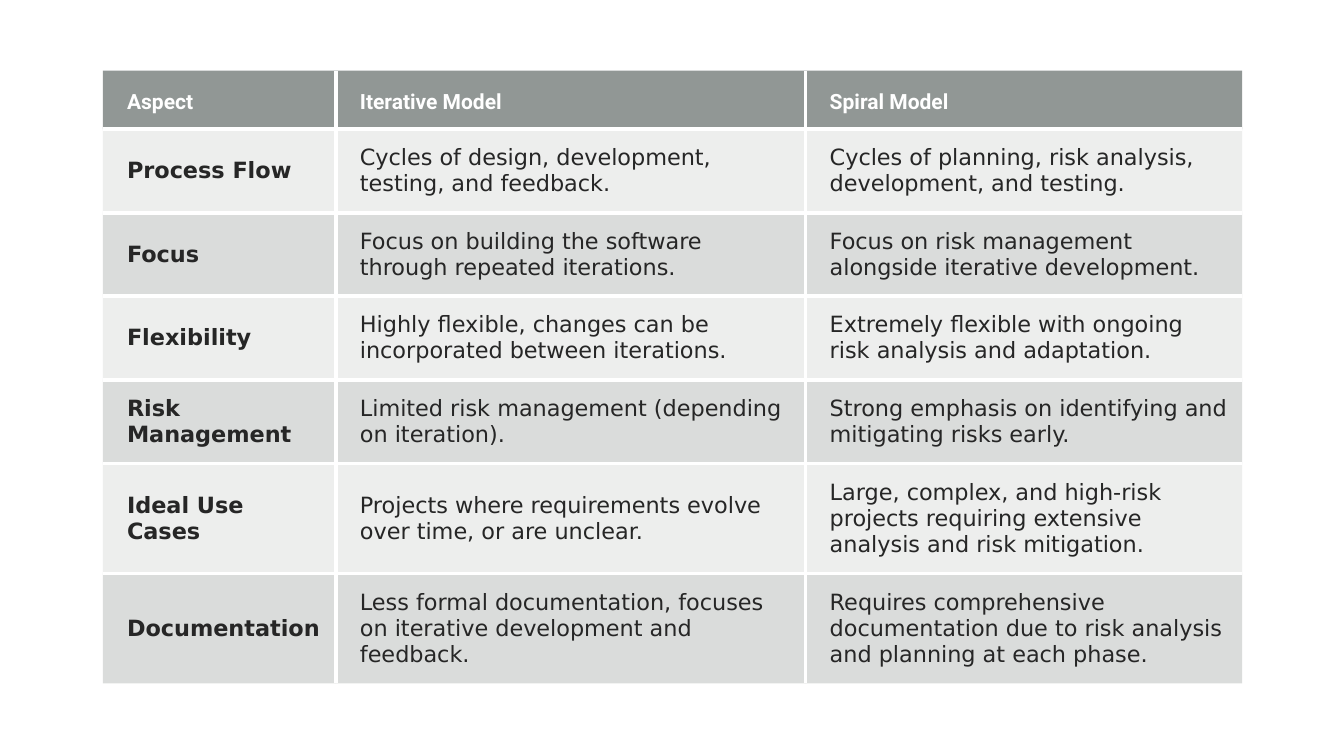
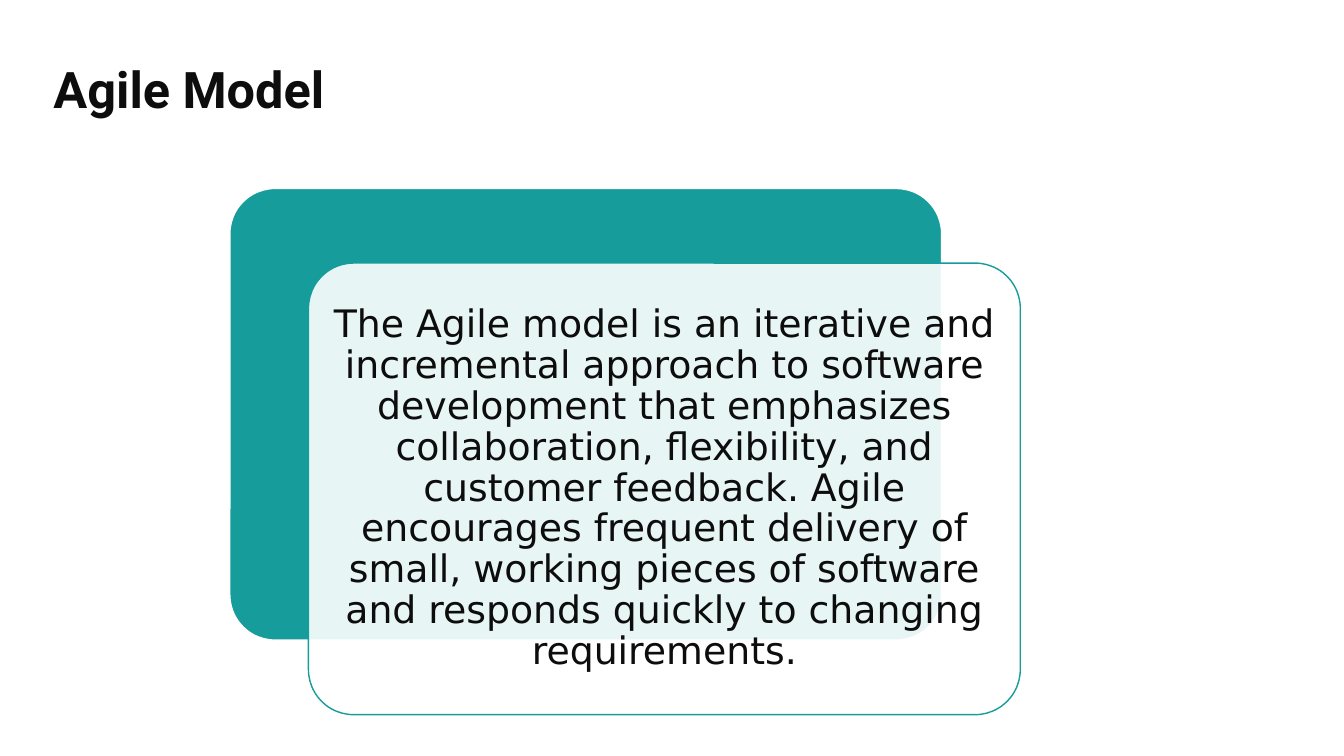
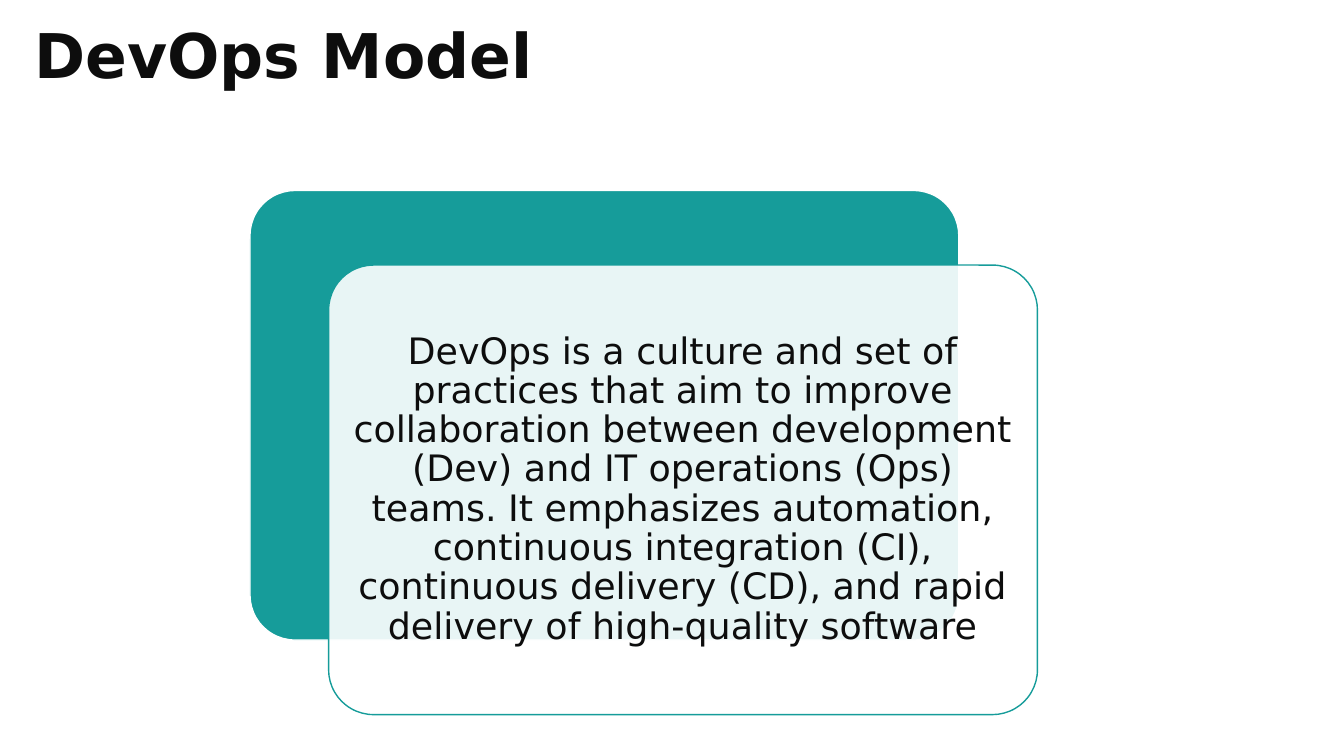
"""Build three slides comparing software development models."""
from lxml import etree
from pptx import Presentation
from pptx.dml.color import RGBColor
from pptx.enum.shapes import MSO_SHAPE
from pptx.enum.text import MSO_ANCHOR, MSO_AUTO_SIZE, PP_ALIGN
from pptx.oxml.ns import qn
from pptx.util import Inches, Pt

ROUNDED = MSO_SHAPE.ROUNDED_RECTANGLE
MIDDLE, BOTTOM = MSO_ANCHOR.MIDDLE, MSO_ANCHOR.BOTTOM
LEFT, CENTER = PP_ALIGN.LEFT, PP_ALIGN.CENTER
NO_AUTOFIT = MSO_AUTO_SIZE.NONE

WHITE = RGBColor(0xFF, 0xFF, 0xFF)
TEAL = RGBColor(0x16, 0x9C, 0x9A)
INK = RGBColor(0x0D, 0x0D, 0x0D)
CELL_INK = RGBColor(0x26, 0x26, 0x26)
HEADER_GREY = RGBColor(0x63, 0x6B, 0x68)
BODY_GREY = RGBColor(0x87, 0x8E, 0x8B)
HEADING_FONT, BODY_FONT = "Roboto", "DejaVu Sans"

COMPARISON = [
    ("Aspect", "Iterative Model", "Spiral Model"),
    ("Process Flow",
     "Cycles of design, development, testing, and feedback.",
     "Cycles of planning, risk analysis, development, and testing."),
    ("Focus",
     "Focus on building the software through repeated iterations.",
     "Focus on risk management alongside iterative development."),
    ("Flexibility",
     "Highly flexible, changes can be incorporated between iterations.",
     "Extremely flexible with ongoing risk analysis and adaptation."),
    ("Risk Management",
     "Limited risk management (depending on iteration).",
     "Strong emphasis on identifying and mitigating risks early."),
    ("Ideal Use Cases",
     "Projects where requirements evolve over time, or are unclear.",
     "Large, complex, and high-risk projects requiring extensive analysis and risk mitigation."),
    ("Documentation",
     "Less formal documentation, focuses on iterative development and feedback.",
     "Requires comprehensive documentation due to risk analysis and planning at each phase."),
]
COLUMN_WIDTHS = [2.31, 4.66, 4.33]
ROW_HEIGHTS = [0.58] + [0.83] * 4 + [1.09] * 2
TABLE_LEFT, TABLE_TOP = 1.02, 0.7

MODELS = [
    {
        "title": "Agile Model",
        "title_box": (0.43, 0.41, 11.13, 1),
        "title_font": {"name": HEADING_FONT, "size": Pt(36)},
        "card": (2.28, 1.87, 7.06, 4.48),
        "text": "The Agile model is an iterative and incremental approach to software "
                "development that emphasizes collaboration, flexibility, and customer feedback. "
                "Agile encourages frequent delivery of small, working pieces of software and "
                "responds quickly to changing requirements.",
        "text_size": Pt(27),
    },
    {
        "title": "DevOps Model",
        "title_box": (0.24, 0.25, 11.13, 0.67),
        "title_font": {"name": BODY_FONT, "size": Pt(44)},
        "card": (2.48, 1.89, 7.03, 4.46),
        "text": "DevOps is a culture and set of practices that aim to improve collaboration "
                "between development (Dev) and IT operations (Ops) teams. It emphasizes "
                "automation, continuous integration (CI), continuous delivery (CD), and rapid "
                "delivery of high-quality software",
        "text_size": Pt(26),
    },
]
CARD_OFFSET = (0.78, 0.74)


def apply(target, values):
    """Set each named attribute on the target."""
    for name, value in values.items():
        setattr(target, name, value)


def set_opacity(properties, percent):
    """Make the solid fill held by the properties element translucent."""
    color = properties.find(qn("a:solidFill"))[0]
    etree.SubElement(color, qn("a:alpha"), val=str(percent * 1000))


def write(frame, text, font, align=LEFT, spacing=1.0):
    """Write one formatted paragraph into a text frame."""
    frame.text = text
    paragraph = frame.paragraphs[0]
    apply(paragraph, {"alignment": align, "line_spacing": spacing})
    run_font = paragraph.runs[0].font
    for name, value in font.items():
        if name == "color":
            run_font.color.rgb = value
        else:
            setattr(run_font, name, value)


def add_borders(properties, inner_sides):
    """Draw white rules on the inner sides of a cell and none on the others."""
    for side in "LRTB":
        line = etree.SubElement(properties, qn(f"a:ln{side}"), w=str(Pt(3)))
        if side in inner_sides:
            fill = etree.SubElement(line, qn("a:solidFill"))
            etree.SubElement(fill, qn("a:srgbClr"), val=str(WHITE))
        else:
            etree.SubElement(line, qn("a:noFill"))


def format_cell(cell, text, row, column):
    """Fill, border and write one comparison cell by its place in the grid."""
    header = row == 0
    inner = {
        "L": column > 0,
        "R": column < len(COLUMN_WIDTHS) - 1,
        "T": row > 0,
        "B": row < len(ROW_HEIGHTS) - 1,
    }
    properties = cell._tc.get_or_add_tcPr()
    add_borders(properties, [side for side, shown in inner.items() if shown])
    cell.fill.solid()
    cell.fill.fore_color.rgb = HEADER_GREY if header else BODY_GREY
    set_opacity(properties, 70 if header else 15 if row % 2 else 30)
    apply(cell, {
        "margin_left": Inches(0.24), "margin_right": Inches(0.14),
        "margin_top": Inches(0.14), "margin_bottom": Inches(0.14),
        "vertical_anchor": BOTTOM if header else MIDDLE,
    })
    write(cell.text_frame, text, {
        "name": HEADING_FONT if header else BODY_FONT,
        "size": Pt(15 if header else 16),
        "bold": header or column == 0,
        "color": WHITE if header else CELL_INK,
    })


def add_comparison_slide(presentation):
    """Add the slide that holds the comparison table."""
    slide = presentation.slides.add_slide(presentation.slide_layouts[6])
    table = slide.shapes.add_table(
        len(COMPARISON), len(COLUMN_WIDTHS), Inches(TABLE_LEFT), Inches(TABLE_TOP),
        Inches(sum(COLUMN_WIDTHS)), Inches(sum(ROW_HEIGHTS))).table
    for column, width in zip(table.columns, COLUMN_WIDTHS):
        column.width = Inches(width)
    for row, height in zip(table.rows, ROW_HEIGHTS):
        row.height = Inches(height)
    for row, texts in enumerate(COMPARISON):
        for column, text in enumerate(texts):
            format_cell(table.cell(row, column), text, row, column)


def add_card(slide, left, top, width, height, fill, line):
    """Add one rounded card."""
    card = slide.shapes.add_shape(
        ROUNDED, Inches(left), Inches(top), Inches(width), Inches(height))
    card.adjustments[0] = 0.1
    card.shadow.inherit = False
    card.fill.solid()
    card.fill.fore_color.rgb = fill
    card.line.color.rgb = line
    card.line.width = Pt(1)
    return card


def add_model_slide(presentation, model):
    """Add a titled slide with a definition on two overlapping cards."""
    slide = presentation.slides.add_slide(presentation.slide_layouts[5])
    title = slide.shapes.title
    apply(title, dict(zip(("left", "top", "width", "height"), map(Inches, model["title_box"]))))
    apply(title.text_frame, {
        "vertical_anchor": MIDDLE, "auto_size": NO_AUTOFIT, "word_wrap": True,
        "margin_top": 0, "margin_bottom": 0,
    })
    write(title.text_frame, model["title"],
          {**model["title_font"], "bold": True, "color": INK}, spacing=0.9)

    left, top, width, height = model["card"]
    add_card(slide, left, top, width, height, TEAL, WHITE)
    front = add_card(slide, left + CARD_OFFSET[0], top + CARD_OFFSET[1],
                     width, height, WHITE, TEAL)
    set_opacity(front.element.spPr, 90)
    sides = ("left", "right", "top", "bottom")
    apply(front.text_frame, {f"margin_{side}": Inches(0.11) for side in sides})
    apply(front.text_frame, {"vertical_anchor": MIDDLE, "word_wrap": True})
    write(front.text_frame, model["text"],
          {"name": BODY_FONT, "size": model["text_size"], "color": INK}, CENTER, 0.9)


def main():
    """Build and save the presentation."""
    presentation = Presentation()
    apply(presentation, {"slide_width": Inches(13.33), "slide_height": Inches(7.5)})
    add_comparison_slide(presentation)
    for model in MODELS:
        add_model_slide(presentation, model)
    presentation.save("out.pptx")


if __name__ == "__main__":
    main()
